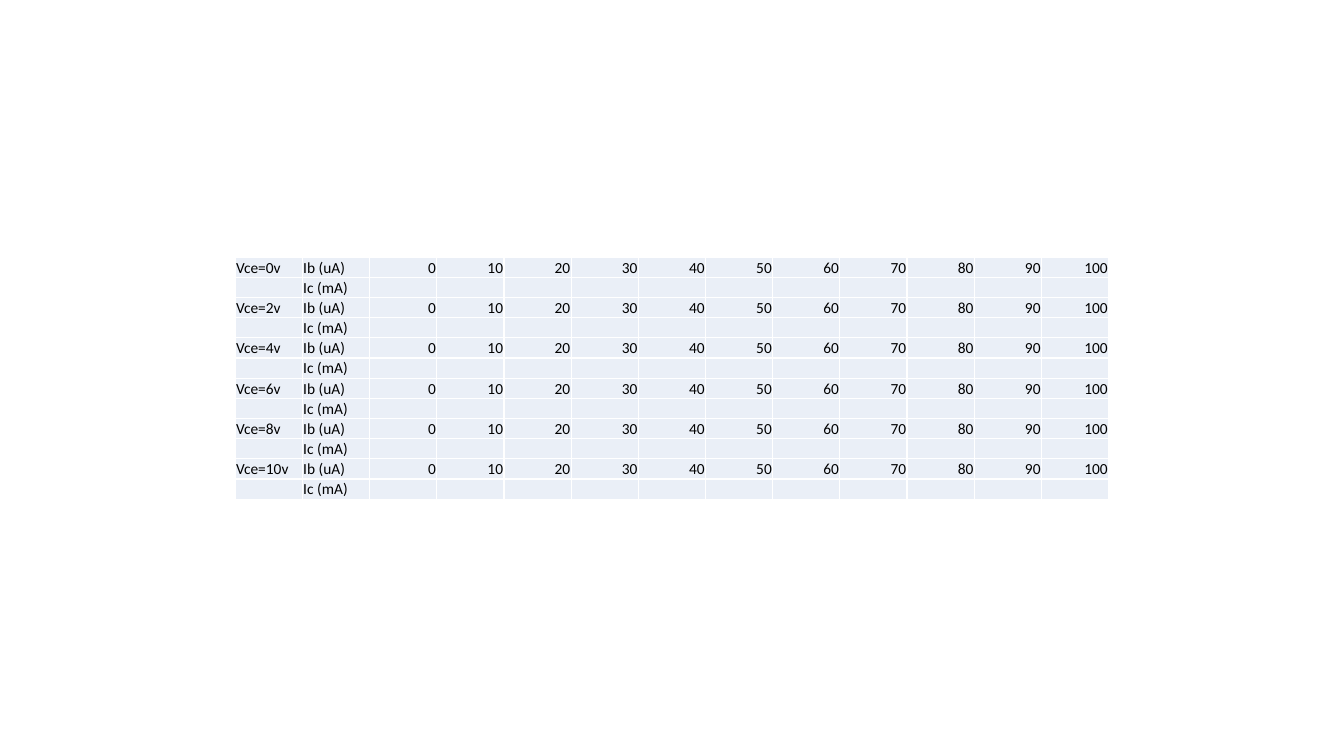
from dataclasses import dataclass

from lxml import etree
from pptx import Presentation
from pptx.dml.color import RGBColor
from pptx.enum.text import MSO_ANCHOR, PP_ALIGN
from pptx.oxml.ns import qn
from pptx.util import Pt

BOTTOM = MSO_ANCHOR.BOTTOM
LEFT, RIGHT = PP_ALIGN.LEFT, PP_ALIGN.RIGHT

FONT, FONT_SIZE = "Calibri", 11
TEXT, FILL, BORDER = "000000", "EAEFF7", "FFFFFF"
TABLE_LEFT, TABLE_TOP = 168, 183.75
COLUMN_WIDTH, ROW_HEIGHT = 48, 14.4
INSET = 0.6

VOLTAGES = range(0, 11, 2)
BASE_CURRENTS = range(0, 101, 10)


@dataclass
class Reading:
    """One row of the measurement table."""
    voltage: str
    quantity: str
    values: list[str]

    def texts(self) -> list[str]:
        return [self.voltage, self.quantity, *self.values]


def color(value: str) -> RGBColor:
    return RGBColor.from_string(value)


def add_borders(cell) -> None:
    properties = cell._tc.get_or_add_tcPr()
    for side in ("a:lnL", "a:lnR", "a:lnT", "a:lnB"):
        line = etree.SubElement(properties, qn(side), w=str(Pt(1)))
        solid = etree.SubElement(line, qn("a:solidFill"))
        etree.SubElement(solid, qn("a:srgbClr"), val=BORDER)


def fill_cell(cell, text: str, alignment: PP_ALIGN) -> None:
    # Borders must come before the fill
    add_borders(cell)
    cell.fill.solid()
    cell.fill.fore_color.rgb = color(FILL)
    cell.vertical_anchor = BOTTOM
    cell.margin_left = cell.margin_right = cell.margin_top = Pt(INSET)
    cell.margin_bottom = 0

    para = cell.text_frame.paragraphs[0]
    para.text = text
    para.alignment = alignment
    for span in para.runs:
        span.font.name = FONT
        span.font.size = Pt(FONT_SIZE)
        span.font.color.rgb = color(TEXT)
    # The end mark keeps empty cells as low as the filled ones
    etree.SubElement(para._p, qn("a:endParaRPr"), sz=str(FONT_SIZE * 100))


def add_readings(page, readings: list[Reading]) -> None:
    row_count, column_count = len(readings), len(readings[0].texts())
    table = page.shapes.add_table(
        row_count, column_count, Pt(TABLE_LEFT), Pt(TABLE_TOP),
        Pt(column_count * COLUMN_WIDTH), Pt(row_count * ROW_HEIGHT)).table
    table.first_row = table.horz_banding = False
    for column in table.columns:
        column.width = Pt(COLUMN_WIDTH)
    for row, reading in zip(table.rows, readings):
        row.height = Pt(ROW_HEIGHT)
        for index, (cell, text) in enumerate(zip(row.cells, reading.texts())):
            fill_cell(cell, text, LEFT if index < 2 else RIGHT)


def main() -> None:
    deck = Presentation()
    deck.slide_width, deck.slide_height = Pt(960), Pt(540)
    page = deck.slides.add_slide(deck.slide_layouts[6])

    # Each voltage has a row of base currents and an empty row to fill in
    currents = [str(current) for current in BASE_CURRENTS]
    readings = []
    for voltage in VOLTAGES:
        readings.append(Reading(f"Vce={voltage}v", "Ib (uA)", currents))
        readings.append(Reading("", "Ic (mA)", [""] * len(currents)))
    add_readings(page, readings)

    deck.save("out.pptx")


if __name__ == "__main__":
    main()
